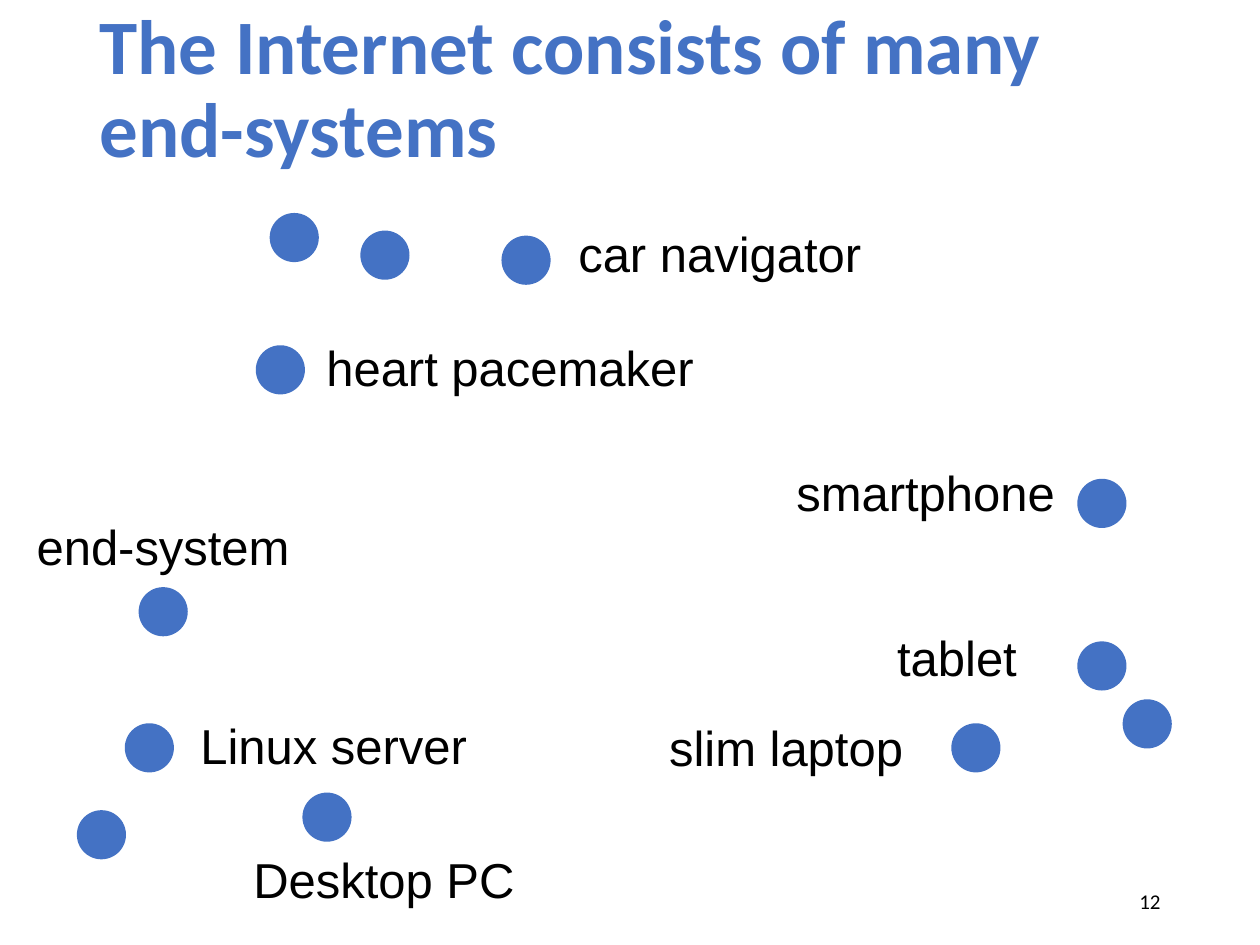
"""Build the slide that shows the Internet as a set of end-systems."""
from pptx import Presentation
from pptx.dml.color import RGBColor
from pptx.enum.shapes import MSO_SHAPE
from pptx.enum.text import MSO_ANCHOR, MSO_AUTO_SIZE, PP_ALIGN
from pptx.util import Inches, Pt

OVAL = MSO_SHAPE.OVAL
MIDDLE = MSO_ANCHOR.MIDDLE
NO_FIT = MSO_AUTO_SIZE.NONE
LEFT, RIGHT = PP_ALIGN.LEFT, PP_ALIGN.RIGHT
BLUE = RGBColor(0x44, 0x72, 0xC4)
BLACK = RGBColor(0, 0, 0)
TITLE_ONLY = 5

TITLE = "The Internet consists of many end-systems"
PAGE_NUMBER = "12"
DOT_SIZE = 0.39
LABEL_HEIGHT = 0.55
LABEL_INSET = 0.04

DOTS = [
    (2.14, 1.69), (2.86, 1.83), (3.98, 1.87), (2.03, 2.74),
    (8.55, 3.8), (8.55, 5.09), (8.91, 5.55), (7.55, 5.74),
    (1.1, 4.66), (0.99, 5.74), (0.61, 6.43), (2.4, 6.29),
]
LABELS = [
    ("car navigator", 4.55, 1.73, 2.54),
    ("heart pacemaker", 2.55, 2.64, 3.2),
    ("smartphone", 6.28, 3.63, 2.29),
    ("end-system", 0.25, 4.06, 2.28),
    ("tablet", 7.08, 4.94, 1.41),
    ("Linux server", 1.55, 5.64, 2.28),
    ("slim laptop", 5.27, 5.65, 2.28),
    ("Desktop PC", 1.97, 6.7, 3.19),
]


def write(box, text, font_name, size, color, align=LEFT, bold=False):
    frame = box.text_frame
    frame.text = text
    frame.word_wrap = True
    frame.auto_size = NO_FIT
    frame.vertical_anchor = MIDDLE
    para = frame.paragraphs[0]
    para.alignment = align
    font = para.runs[0].font
    font.name, font.size, font.bold = font_name, Pt(size), bold
    font.color.rgb = color
    return frame


def add_title(page):
    title = page.shapes.title
    title.left, title.top = Inches(0.69), Inches(0)
    title.width, title.height = Inches(8.62), Inches(1.45)
    frame = write(title, TITLE, "Calibri", 44, BLUE, bold=True)
    frame.paragraphs[0].line_spacing = 0.9


def add_dot(page, left, top):
    dot = page.shapes.add_shape(
        OVAL, Inches(left), Inches(top), Inches(DOT_SIZE), Inches(DOT_SIZE))
    dot.shadow.inherit = False
    dot.fill.solid()
    dot.fill.fore_color.rgb = BLUE
    dot.line.fill.background()


def add_label(page, text, left, top, width):
    box = page.shapes.add_textbox(
        Inches(left), Inches(top), Inches(width), Inches(LABEL_HEIGHT))
    frame = write(box, text, "Arial", 28, BLACK)
    frame.margin_left = frame.margin_right = Inches(LABEL_INSET)
    frame.margin_top = frame.margin_bottom = Inches(LABEL_INSET)


def main():
    deck = Presentation()
    deck.slide_width, deck.slide_height = Inches(10), Inches(7.5)
    page = deck.slides.add_slide(deck.slide_layouts[TITLE_ONLY])
    add_title(page)
    number = page.shapes.add_textbox(
        Inches(7.06), Inches(6.95), Inches(2.25), Inches(0.4))
    write(number, PAGE_NUMBER, "Calibri", 12, BLACK, RIGHT)
    for dot in DOTS:
        add_dot(page, *dot)
    for label in LABELS:
        add_label(page, *label)
    deck.save("out.pptx")


if __name__ == "__main__":
    main()
